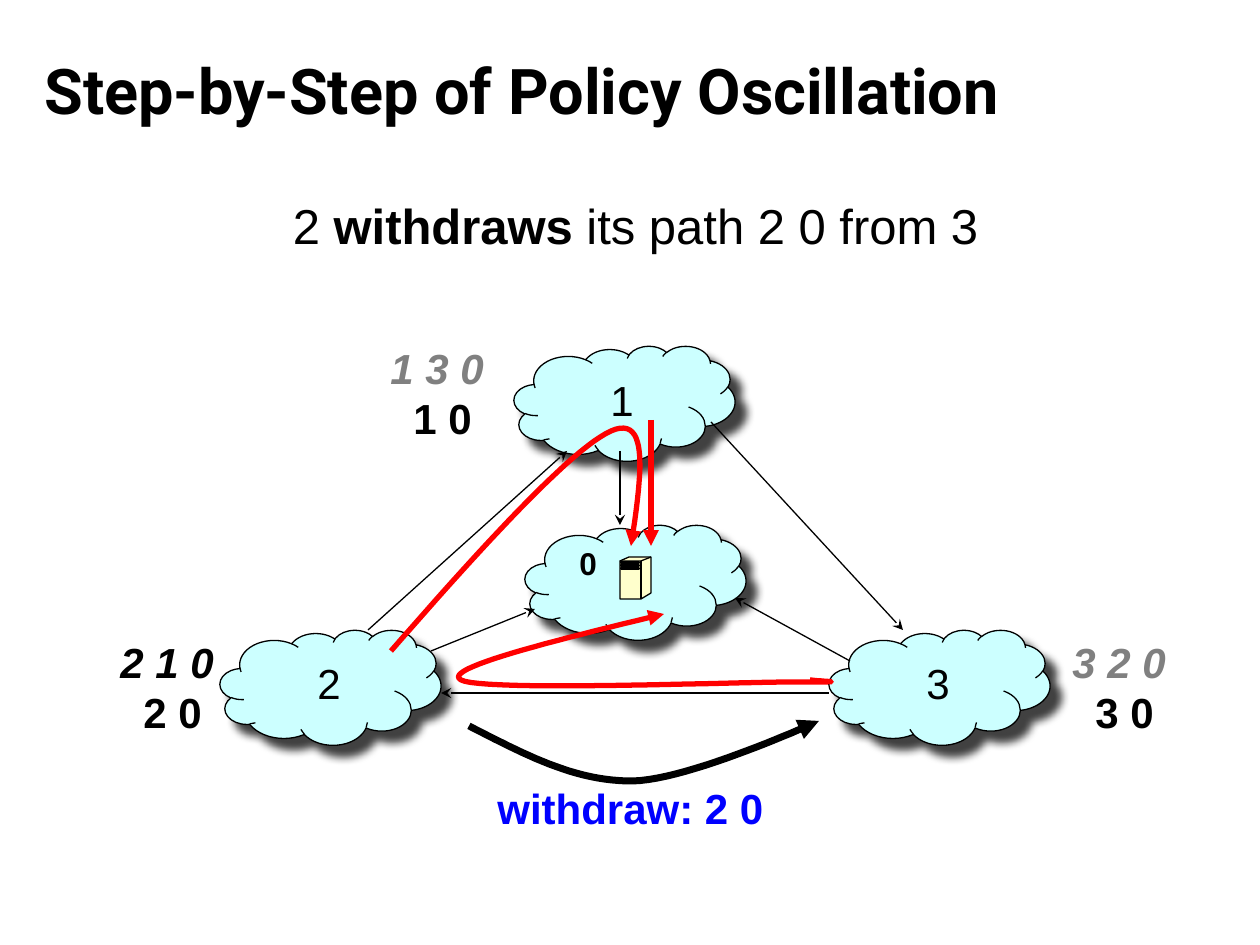
from lxml import etree
from pptx import Presentation
from pptx.dml.color import RGBColor
from pptx.enum.shapes import MSO_CONNECTOR, MSO_SHAPE
from pptx.enum.text import MSO_ANCHOR, PP_ALIGN
from pptx.oxml import parse_xml
from pptx.oxml.ns import nsdecls, qn
from pptx.util import Pt

PX = 914400 / 126
BLACK = RGBColor(0, 0, 0)
GRAY = RGBColor(0x80, 0x80, 0x80)
RED = RGBColor(0xFF, 0, 0)
BLUE = RGBColor(0, 0, 0xFF)
CYAN = RGBColor(0xCC, 0xFF, 0xFF)
CREAM = RGBColor(0xFF, 0xFF, 0xCC)
CLOUD = MSO_SHAPE.CLOUD
STRAIGHT = MSO_CONNECTOR.STRAIGHT
CENTER, MIDDLE = PP_ALIGN.CENTER, MSO_ANCHOR.MIDDLE
SHADE = (
    f'<a:outerShdw {nsdecls("a")} blurRad="63500" dist="107950" dir="2700000" '
    'algn="tl" rotWithShape="0"><a:srgbClr val="000000">'
    '<a:alpha val="75000"/></a:srgbClr></a:outerShdw>'
)

deck = Presentation()
deck.slide_width, deck.slide_height = round(1260 * PX), round(945 * PX)
slide = deck.slides.add_slide(deck.slide_layouts[6])
shapes = slide.shapes


def stroke(shape, color, width, head=None):
    """Style a line, with an arrowhead at its end if one is named."""
    shape.line.color.rgb = color
    shape.line.width = Pt(width)
    if head:
        rule = shape.element.spPr.find(qn("a:ln"))
        etree.SubElement(rule, qn("a:tailEnd"), type=head)


def write(box, rows, size, font="Arial"):
    """Add a text box; each row is its runs, colour and italic flag."""
    frame = shapes.add_textbox(*[round(v * PX) for v in box]).text_frame
    frame.word_wrap = True
    frame.margin_right = 0
    for i, (runs, color, slant) in enumerate(rows):
        para = frame.paragraphs[0] if i == 0 else frame.add_paragraph()
        para.font.size, para.font.name = Pt(size), font
        para.font.color.rgb = color
        para.font.italic = slant
        for text, bold in runs:
            run = para.add_run()
            run.text, run.font.bold = text, bold
    return frame


# Clouds
for left, top in [(525, 525), (514, 346), (220, 630), (829, 630)]:
    cloud = shapes.add_shape(CLOUD, *[round(v * PX) for v in (left, top, 221, 115)])
    cloud.fill.solid()
    cloud.fill.fore_color.rgb = CYAN
    stroke(cloud, BLACK, 0.75)
    cloud.shadow.inherit = False
    cloud.element.spPr.find(qn("a:effectLst")).append(parse_xml(SHADE))

# Server: body, then edges and slots
body = [(620, 561), (629, 557), (651, 557), (651, 593), (641, 599), (620, 599)]
edges = [[(620, 561), (641, 561), (651, 557)], [(641, 561), (641, 599)]]
slots = [
    [(621, y), (639, y), (639, y + 1), (621, y + 1), (621, y)] for y in (562, 565, 568)
]
for paths, filled in [([body + body[:1]], True), (edges + slots, False)]:
    pen = shapes.build_freeform(*paths[0][0], scale=PX)
    for i, points in enumerate(paths):
        if i:
            pen.move_to(*points[0])
        pen.add_line_segments(points[1:], close=False)
    part = pen.convert_to_shape()
    part.shadow.inherit = False
    stroke(part, BLACK, 0.75)
    if filled:
        part.fill.solid()
        part.fill.fore_color.rgb = CREAM
    else:
        part.fill.background()

# Straight links
thin = (BLACK, 0.75, "stealth")
for ends, style in [
    ((620, 451, 620, 525), thin),
    ((368, 630, 567, 451), thin),
    ((829, 693, 441, 693), thin),
    ((711, 422, 903, 630), thin),
    ((431, 651, 535, 609), thin),
    ((850, 661, 735, 598), thin),
    ((651, 420, 651, 546), (RED, 3, "triangle")),
]:
    link = shapes.add_connector(STRAIGHT, *[round(v * PX) for v in ends])
    stroke(link, *style)
    etree.SubElement(link.element.spPr, qn("a:effectLst"))

# Curved routes: a start, then two controls and an end per cubic piece
STEPS = 24
for knots, color, width in [
    ([(810, 680), (830, 682), (852, 682), (794, 682), (736, 682), (483, 692),
      (461, 680), (440, 669), (552, 641), (664, 614)], RED, 3),
    ([(391, 651), (480, 549), (571, 449), (611, 431), (651, 413), (641, 480),
      (631, 546)], RED, 3),
    ([(469, 726), (522, 753), (575, 782), (633, 781), (690, 780), (819, 721),
      (819, 721)], BLACK, 4),
]:
    points = []
    for i in range(0, len(knots) - 1, 3):
        for t in [n / STEPS for n in range(1, STEPS + 1)]:
            mix = ((1 - t) ** 3, 3 * t * (1 - t) ** 2, 3 * t * t * (1 - t), t ** 3)
            points.append([
                sum(m * knot[axis] for m, knot in zip(mix, knots[i:i + 4]))
                for axis in (0, 1)
            ])
    # Tenths of a pixel keep the curve smooth
    fine = [(round(10 * x), round(10 * y)) for x, y in [knots[0]] + points]
    pen = shapes.build_freeform(*fine[0], scale=PX / 10)
    pen.add_line_segments(fine[1:], close=False)
    route = pen.convert_to_shape()
    route.fill.background()
    route.shadow.inherit = False
    stroke(route, color, width, "triangle")

# Node numbers
for left, top, name in [(598, 368, "1"), (305, 651, "2"), (914, 651, "3")]:
    write((left, top, 49, 63), [([(name, False)], BLACK, False)], 24)
write((567, 538, 43, 50), [([("0", True)], BLACK, False)], 18)

# Route choices: preferred path above the direct one
for left, top, first, color, direct in [
    (378, 336, "1 3 0", GRAY, "1 0"),
    (1060, 630, "3 2 0", GRAY, "3 0"),
    (108, 630, "2 1 0", BLACK, "2 0"),
]:
    rows = [([(first, True)], color, True), ([(direct, True)], BLACK, False)]
    frame = write((left, top, 126, 115), rows, 24)
    frame.paragraphs[1]._p.get_or_add_pPr().set("marL", str(round(23 * PX)))

write((485, 776, 295, 64), [([("withdraw: 2 0", True)], BLUE, False)], 24)
runs = [("2 ", False), ("withdraws ", True), ("its path 2 0 from 3", False)]
note = write((84, 189, 1103, 72), [(runs, BLACK, False)], 28)
note.margin_right = note.margin_left
note.paragraphs[0].alignment = CENTER

title = [([("Step-by-Step of Policy Oscillation", True)], BLACK, False)]
write((32, 42, 1323, 94), title, 36, "Roboto").vertical_anchor = MIDDLE

deck.save("out.pptx")
